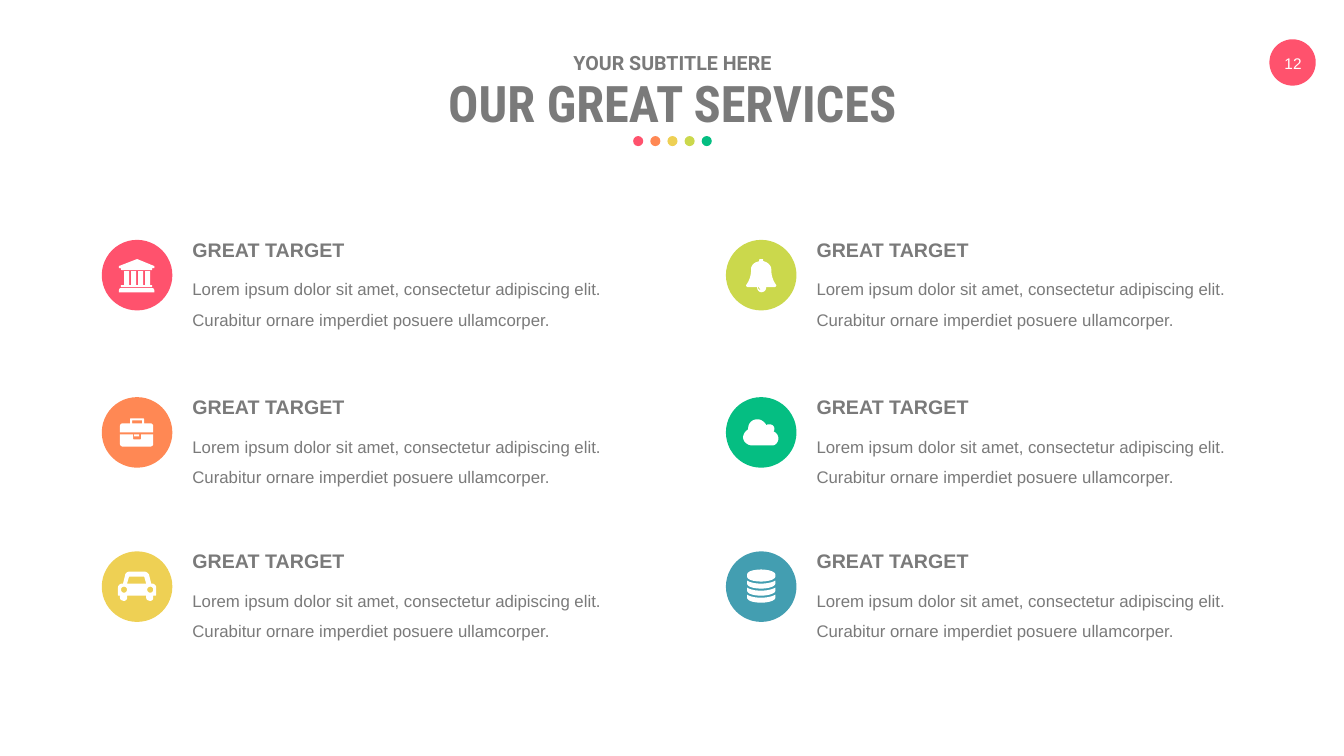
import pptx
import pptx.util
import pptx.dml.color
import pptx.enum.shapes
import pptx.enum.text

Inches = pptx.util.Inches
ALIGN = pptx.enum.text.PP_ALIGN
ANCHOR = pptx.enum.text.MSO_ANCHOR

COLORS = {
    "red": "FF526D", "orange": "FF8854", "yellow": "EED054", "lime": "CBD84C",
    "green": "05BE82", "teal": "439EB1", "gray": "7A7A7A", "white": "FFFFFF",
}

# Grid of services, in inches
SLIDE_W, SLIDE_H = 13.33, 7.5
COLUMNS = (1.01, 7.2)
ROWS = (2.38, 3.94, 5.47)
DISC = 0.7
TEXT_DX, TEXT_W = 0.8, 4.42

HEADING = "GREAT TARGET"
BODY = ("Lorem ipsum dolor sit amet, consectetur adipiscing elit. "
        "Curabitur ornare imperdiet posuere ullamcorper.")


def rgb(name):
    return pptx.dml.color.RGBColor.from_string(COLORS[name])


# Icon outlines, in hundredths of an inch from the disc's top left corner
def outline(*steps):
    """Join points (x, y) and cubic curves (x1, y1, x2, y2, x, y)."""
    pts = []
    for step in steps:
        if len(step) == 2:
            pts.append(step)
            continue
        ctrl = (pts[-1], step[:2], step[2:4], step[4:])
        for i in range(1, 9):
            t = i / 8
            weights = ((1 - t) ** 3, 3 * t * (1 - t) ** 2, 3 * t * t * (1 - t), t ** 3)
            pts.append(tuple(sum(w * c[axis] for w, c in zip(weights, ctrl))
                             for axis in (0, 1)))
    return pts


def box(x, y, w, h):
    return [(x, y), (x + w, y), (x + w, y + h), (x, y + h)]


def ring(x, y, r):
    k = 0.55 * r
    return outline((x + r, y), (x + r, y + k, x + k, y + r, x, y + r),
                   (x - k, y + r, x - r, y + k, x - r, y),
                   (x - r, y - k, x - k, y - r, x, y - r),
                   (x + k, y - r, x + r, y - k, x + r, y))


def bank():
    roof = outline((17, 26), (35, 19), (52, 26), (52, 28), (50, 28),
                   (50, 30, 50, 30, 49, 30), (21, 30), (19, 30, 19, 30, 19, 28), (17, 28))
    base = outline((17, 52), (17, 50), (17, 49, 18, 48, 18, 48), (51, 48),
                   (51, 48, 52, 49, 52, 50), (52, 52))
    pillars = [box(22 + 7 * i, 31, 5, 14) for i in range(4)]
    return [roof, *pillars, box(19, 45, 31, 2), base]


def bell():
    body = outline((48, 47), (40, 47), (40, 50, 38, 52, 35, 52), (33, 52, 31, 50, 31, 47),
                   (22, 47), (21, 47, 20, 46, 20, 45), (22, 42, 25, 38, 25, 29),
                   (25, 25, 28, 22, 34, 21), (33, 21, 33, 21, 33, 20),
                   (33, 19, 34, 19, 35, 19), (36, 19, 37, 19, 37, 20), (37, 21),
                   (41, 22, 45, 25, 45, 29), (45, 38, 48, 42, 50, 45),
                   (50, 46, 49, 47, 48, 47))
    clapper = outline((35, 50), (34, 50, 33, 48, 33, 47), (32, 47), (32, 49, 33, 50, 35, 50))
    return [body, clapper]


def briefcase():
    top = outline((51, 35), (18, 35), (18, 29), (18, 27, 19, 26, 21, 26), (28, 26),
                  (28, 22), (28, 21, 29, 21, 29, 21), (40, 21), (41, 21, 42, 21, 42, 22),
                  (42, 26), (48, 26), (50, 26, 51, 27, 51, 29))
    bottom = outline((51, 46), (51, 48, 50, 49, 48, 49), (21, 49), (19, 49, 18, 48, 18, 46),
                     (18, 37), (31, 37), (31, 40), (31, 41, 31, 42, 32, 42), (38, 42),
                     (39, 42, 39, 41, 39, 40), (39, 37), (51, 37))
    return [top, bottom, box(30, 23, 10, 3), box(32, 37, 5, 2)]


def car():
    body = outline((54, 43), (54, 44, 53, 44, 53, 44), (51, 44), (51, 46),
                   (51, 48, 50, 49, 48, 49), (46, 49, 44, 48, 44, 46), (44, 44), (25, 44),
                   (25, 46), (25, 48, 24, 49, 22, 49), (20, 49, 18, 48, 18, 46), (18, 44),
                   (17, 44), (16, 44, 16, 44, 16, 43), (16, 36), (16, 34, 18, 32, 20, 32),
                   (21, 32), (23, 24), (23, 22, 25, 20, 28, 20), (42, 20),
                   (44, 20, 47, 22, 47, 24), (49, 32), (50, 32), (52, 32, 54, 34, 54, 36))
    window = outline((44, 32), (42, 25), (27, 25), (25, 32))
    return [body, window, ring(22, 38, 3), ring(48, 38, 3)]


def cloud():
    return [outline((46, 48), (26, 48), (21, 48, 17, 44, 17, 40), (17, 37, 19, 34, 22, 32),
                    (22, 31), (22, 26, 26, 22, 31, 22), (35, 22, 39, 25, 40, 28),
                    (41, 27, 42, 27, 43, 27), (46, 27, 48, 29, 48, 31),
                    (48, 32, 48, 34, 47, 34), (50, 35, 52, 38, 52, 41),
                    (52, 45, 49, 48, 46, 48))]


def database():
    lid = outline((49, 23), (49, 25), (49, 28, 42, 30, 35, 30), (27, 30, 21, 28, 21, 25),
                  (21, 23), (21, 20, 27, 18, 35, 18), (42, 18, 49, 20, 49, 23))
    layers = [outline((49, y), (49, y + 3), (49, y + 6, 42, y + 8, 35, y + 8),
                      (27, y + 8, 21, y + 6, 21, y + 3), (21, y),
                      (24, y + 2, 29, y + 3, 35, y + 3), (40, y + 3, 46, y + 2, 49, y))
              for y in (29, 36, 43)]
    return [lid, *layers]


# Elements
def paint(s, color):
    s.shadow.inherit = False
    s.fill.solid()
    s.fill.fore_color.rgb = rgb(color)
    s.line.fill.background()


def add_disc(shapes, x, y, size, color):
    s = shapes.add_shape(pptx.enum.shapes.MSO_SHAPE.OVAL,
                         Inches(x), Inches(y), Inches(size), Inches(size))
    paint(s, color)


def add_icon(shapes, x, y, contours):
    fine = [[(10 * px, 10 * py) for px, py in pts] for pts in contours]
    builder = shapes.build_freeform(*fine[0][0], scale=Inches(1) / 1000)
    for i, pts in enumerate(fine):
        if i:
            builder.move_to(*pts[0])
        builder.add_line_segments(pts[1:], close=True)
    paint(builder.convert_to_shape(Inches(x), Inches(y)), "white")


def add_text(shapes, x, y, w, h, text, size, font="Arial", color="gray", bold=False,
             align=ALIGN.LEFT, anchor=ANCHOR.TOP, spacing=None):
    tf = shapes.add_textbox(Inches(x), Inches(y), Inches(w), Inches(h)).text_frame
    tf.word_wrap = True
    tf.vertical_anchor = anchor
    p = tf.paragraphs[0]
    p.text = text
    p.alignment = align
    p.line_spacing = spacing
    p.font.name = font
    p.font.size = pptx.util.Pt(size)
    p.font.bold = bold
    p.font.color.rgb = rgb(color)


def add_service(slide, col, row, color, icon):
    x, y = COLUMNS[col], ROWS[row]
    shapes = slide.shapes.add_group_shape().shapes
    add_text(shapes, x + TEXT_DX, y - 0.07, TEXT_W, 0.34, HEADING, 14, bold=True)
    add_text(shapes, x + TEXT_DX, y + 0.24, TEXT_W, 0.67, BODY, 12, spacing=1.5)
    add_disc(shapes, x, y, DISC, color)
    add_icon(shapes, x, y, icon())


def main():
    prs = pptx.Presentation()
    prs.slide_width, prs.slide_height = Inches(SLIDE_W), Inches(SLIDE_H)
    slide = prs.slides.add_slide(prs.slide_layouts[6])

    # Page number
    add_disc(slide.shapes, 12.59, 0.39, 0.46, "red")
    add_text(slide.shapes, 12.38, 0.48, 0.89, 0.29, "12", 11, color="white",
             align=ALIGN.CENTER, anchor=ANCHOR.MIDDLE)

    # Title, subtitle and dots
    add_text(slide.shapes, 0.92, 0.67, 11.5, 0.71, "OUR GREAT SERVICES", 36,
             "Roboto Condensed", bold=True, align=ALIGN.CENTER)
    add_text(slide.shapes, 0.92, 0.46, 11.5, 0.34, "YOUR SUBTITLE HERE", 14,
             "Roboto", bold=True, align=ALIGN.CENTER)
    dots = slide.shapes.add_group_shape().shapes
    for i, color in enumerate(("red", "orange", "yellow", "lime", "green")):
        add_disc(dots, 6.28 + 0.17 * i, 1.35, 0.1, color)

    # Services, column by column
    services = (("red", bank), ("orange", briefcase), ("yellow", car),
                ("lime", bell), ("green", cloud), ("teal", database))
    for i, (color, icon) in enumerate(services):
        add_service(slide, *divmod(i, len(ROWS)), color, icon)

    prs.save("out.pptx")


if __name__ == "__main__":
    main()
